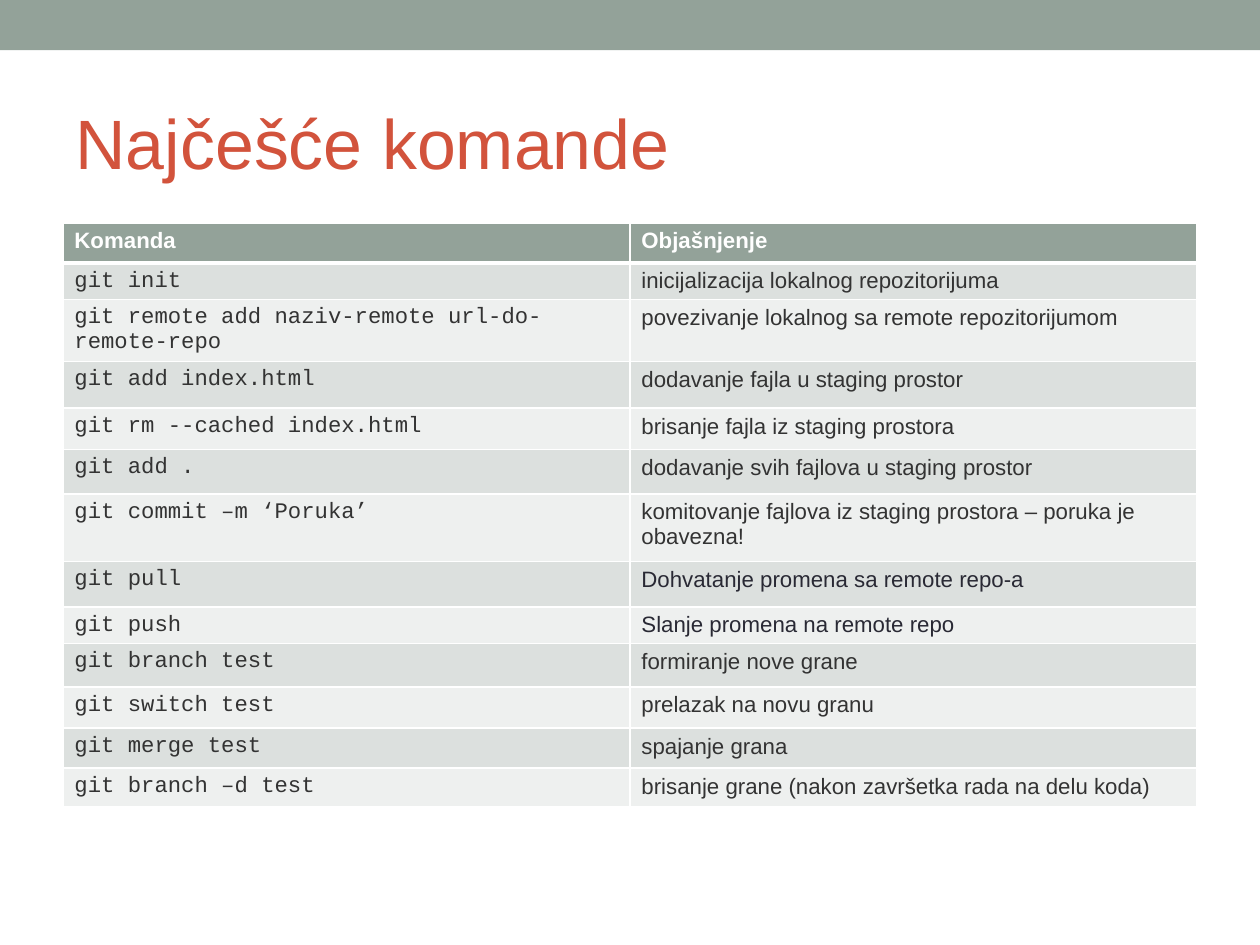
"""Build a slide with a table of the most common git commands."""
import pptx
import pptx.dml.color
import pptx.enum.shapes
import pptx.enum.text
import pptx.oxml
import pptx.oxml.ns
import pptx.util

RGBColor = pptx.dml.color.RGBColor
SAGE = RGBColor(0x93, 0xA2, 0x99)
RUST = RGBColor(0xD2, 0x53, 0x3C)
WHITE = RGBColor(0xFF, 0xFF, 0xFF)
CHARCOAL = RGBColor(0x33, 0x33, 0x33)
INK = RGBColor(0x29, 0x29, 0x34)
BANDS = (RGBColor(0xEE, 0xF0, 0xEF), RGBColor(0xDC, 0xE0, 0xDE))

TITLE = "Najčešće komande"
HEADER = ("Komanda", "Objašnjenje")
COMMANDS = [
    ("git init", "inicijalizacija lokalnog repozitorijuma"),
    ("git remote add naziv-remote url-do-remote-repo",
     "povezivanje lokalnog sa remote repozitorijumom"),
    ("git add index.html", "dodavanje fajla u staging prostor"),
    ("git rm --cached index.html", "brisanje fajla iz staging prostora"),
    ("git add .", "dodavanje svih fajlova u staging prostor"),
    ("git commit –m ‘Poruka’",
     "komitovanje fajlova iz staging prostora – poruka je obavezna!"),
    ("git pull", "Dohvatanje promena sa remote repo-a"),
    ("git push", "Slanje promena na remote repo"),
    ("git branch test", "formiranje nove grane"),
    ("git switch test", "prelazak na novu granu"),
    ("git merge test", "spajanje grana"),
    ("git branch –d test", "brisanje grane (nakon završetka rada na delu koda)"),
]
INK_COMMANDS = ("git pull", "git push")
ROW_HEIGHTS = (0.35, 0.32, 0.54, 0.41, 0.36, 0.39, 0.59,
               0.4, 0.32, 0.38, 0.36, 0.35, 0.34)

WIDTH, HEIGHT = pptx.util.Cm(28), pptx.util.Cm(21)
MARGIN = int(WIDTH * 0.05)
CONTENT_WIDTH = WIDTH - 2 * MARGIN
TITLE_TOP, TITLE_HEIGHT = pptx.util.Inches(0.64), pptx.util.Inches(1.19)
TABLE_TOP = pptx.util.Inches(1.95)
BAR_HEIGHT = pptx.util.Inches(0.44)


def apply(target, values):
    for name, value in values.items():
        setattr(target, name, value)


def write(frame, text, color, **font_values):
    para = frame.paragraphs[0]
    para.alignment = pptx.enum.text.PP_ALIGN.LEFT
    span = para.add_run()
    span.text = text
    apply(span.font, font_values)
    span.font.color.rgb = color


def add_borders(cell, widths):
    properties = cell._tc.get_or_add_tcPr()
    for side, points in widths.items():
        properties.append(pptx.oxml.parse_xml(
            f'<a:ln{side} {pptx.oxml.ns.nsdecls("a")} w="{pptx.util.Pt(points)}">'
            f'<a:solidFill><a:srgbClr val="{WHITE}"/></a:solidFill></a:ln{side}>'))


def add_bar(page):
    bar = page.shapes.add_shape(
        pptx.enum.shapes.MSO_SHAPE.RECTANGLE, 0, 0, WIDTH, BAR_HEIGHT)
    bar.shadow.inherit = False
    bar.fill.solid()
    bar.fill.fore_color.rgb = SAGE
    bar.line.fill.background()


def add_title(page):
    title = page.shapes.title
    apply(title, dict(left=MARGIN, top=TITLE_TOP,
                      width=CONTENT_WIDTH, height=TITLE_HEIGHT))
    side, edge = pptx.util.Inches(0.11), pptx.util.Inches(0.06)
    apply(title.text_frame, dict(
        margin_left=side, margin_right=side, margin_top=edge, margin_bottom=edge,
        word_wrap=True, vertical_anchor=pptx.enum.text.MSO_ANCHOR.MIDDLE))
    write(title.text_frame, TITLE, RUST, name="Arial", size=pptx.util.Pt(44))


def add_commands(page):
    rows = [HEADER] + COMMANDS
    table = page.shapes.add_table(
        len(rows), len(HEADER), MARGIN, TABLE_TOP, CONTENT_WIDTH,
        pptx.util.Inches(sum(ROW_HEIGHTS))).table
    for index, texts in enumerate(rows):
        table.rows[index].height = pptx.util.Inches(ROW_HEIGHTS[index])
        heading = index == 0
        for column, text in enumerate(texts):
            cell = table.cell(index, column)
            add_borders(cell, dict(L=1, R=1, T=3 if index == 1 else 1,
                                   B=3 if heading else 1))
            cell.fill.solid()
            cell.fill.fore_color.rgb = SAGE if heading else BANDS[index % 2]
            is_command = column == 0 and not heading
            is_ink = column == 1 and texts[0] in INK_COMMANDS
            color = WHITE if heading else INK if is_ink else CHARCOAL
            write(cell.text_frame, text, color, size=pptx.util.Pt(14), bold=heading,
                  name="Courier New" if is_command else "Arial")


def main():
    deck = pptx.Presentation()
    deck.slide_width = WIDTH
    deck.slide_height = HEIGHT
    deck.element.sldSz.attrib.pop("type", None)
    page = deck.slides.add_slide(deck.slide_layouts.get_by_name("Title Only"))
    add_bar(page)
    add_title(page)
    add_commands(page)
    deck.save("out.pptx")


if __name__ == "__main__":
    main()
